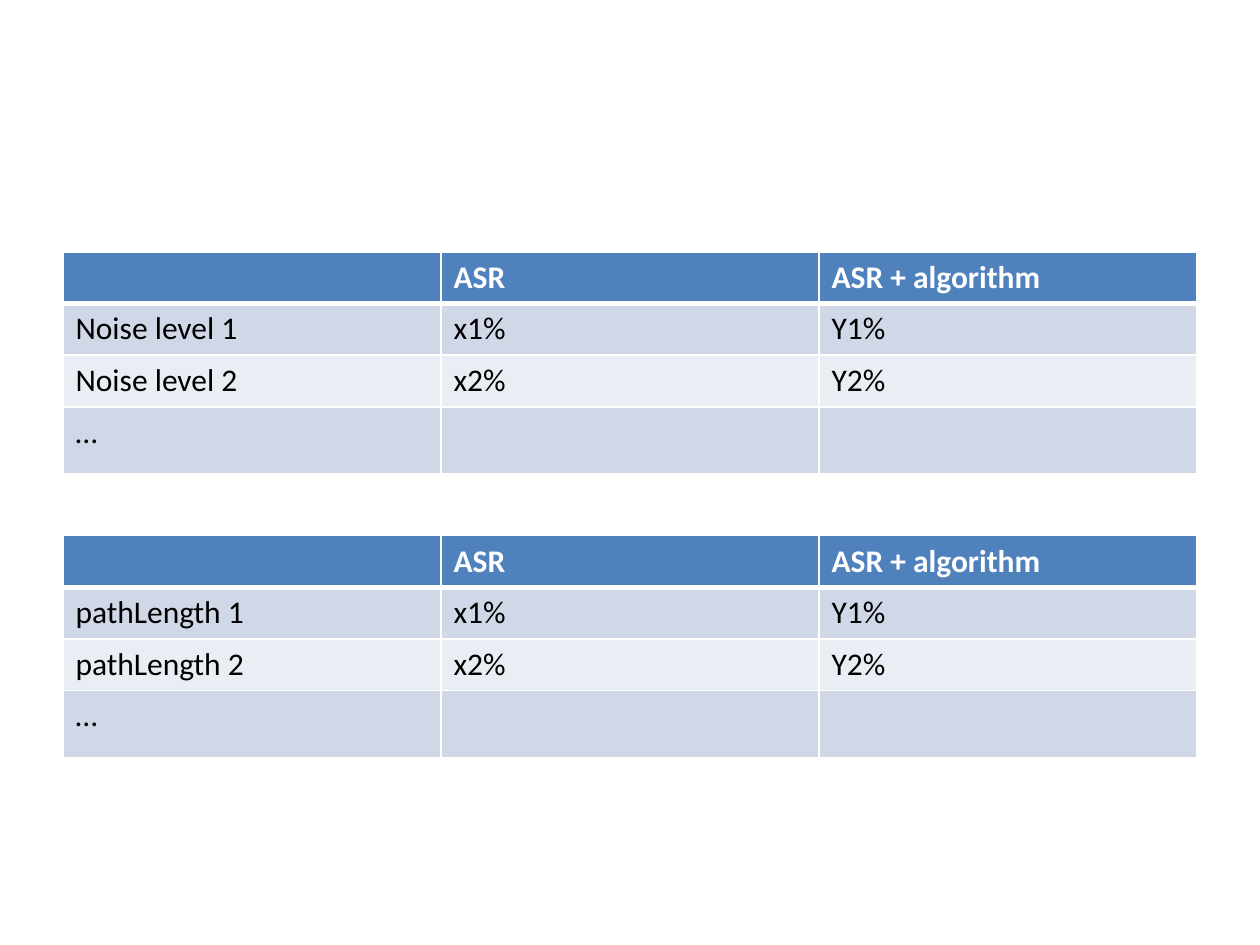
from lxml.etree import SubElement as Sub
from pptx import Presentation
from pptx.dml.color import RGBColor as RGB
from pptx.oxml.ns import qn
from pptx.util import Cm, Pt

WHITE = RGB(0xFF, 0xFF, 0xFF)
BLACK = RGB(0x00, 0x00, 0x00)
BLUE = RGB(0x4F, 0x81, 0xBD)
BANDS = (RGB(0xE9, 0xED, 0xF4), RGB(0xD0, 0xD8, 0xE8))

LEFT, TOP, STEP = 1.27, 5.08, 5.72
COL = 7.62
ROWS = (1.04, 1.04, 1.04, 1.35)


def set_edge(cell, side, width):
    """Draw one white cell border."""
    line = Sub(cell._tc.get_or_add_tcPr(), qn("a:" + side), w=str(Pt(width)))
    fill = Sub(line, qn("a:solidFill"))
    Sub(fill, qn("a:srgbClr"), val=str(WHITE))


def set_cell(cell, text, row):
    """Style a cell by its row: header first, then bands."""
    head = row == 0
    # Borders, with a thick rule between header and body
    for side in ("lnL", "lnR", "lnT", "lnB"):
        thick = (side, row) in (("lnB", 0), ("lnT", 1))
        set_edge(cell, side, 3 if thick else 1)
    cell.fill.solid()
    cell.fill.fore_color.rgb = BLUE if head else BANDS[row % 2]
    # Text
    cell.text = text
    font = cell.text_frame.paragraphs[0].font
    font.name, font.size, font.bold = "Calibri", Pt(18), head
    font.color.rgb = WHITE if head else BLACK


def add_grid(slide, top, label):
    """Add one table of results for the given label."""
    data = (
        ("", "ASR", "ASR + algorithm"),
        (f"{label} 1", "x1%", "Y1%"),
        (f"{label} 2", "x2%", "Y2%"),
        ("…", "", ""),
    )
    cols = len(data[0])
    grid = slide.shapes.add_table(
        len(data), cols, Cm(LEFT), Cm(top), Cm(COL * cols), Cm(sum(ROWS))
    ).table
    for col in grid.columns:
        col.width = Cm(COL)
    for row, (height, texts) in enumerate(zip(ROWS, data)):
        grid.rows[row].height = Cm(height)
        for col, text in enumerate(texts):
            set_cell(grid.cell(row, col), text, row)


def main():
    deck = Presentation()
    deck.slide_width, deck.slide_height = Cm(25.4), Cm(19.05)
    slide = deck.slides.add_slide(deck.slide_layouts[6])
    # Two tables, one below the other
    for i, label in enumerate(("Noise level", "pathLength")):
        add_grid(slide, TOP + i * STEP, label)
    deck.save("out.pptx")


main()
